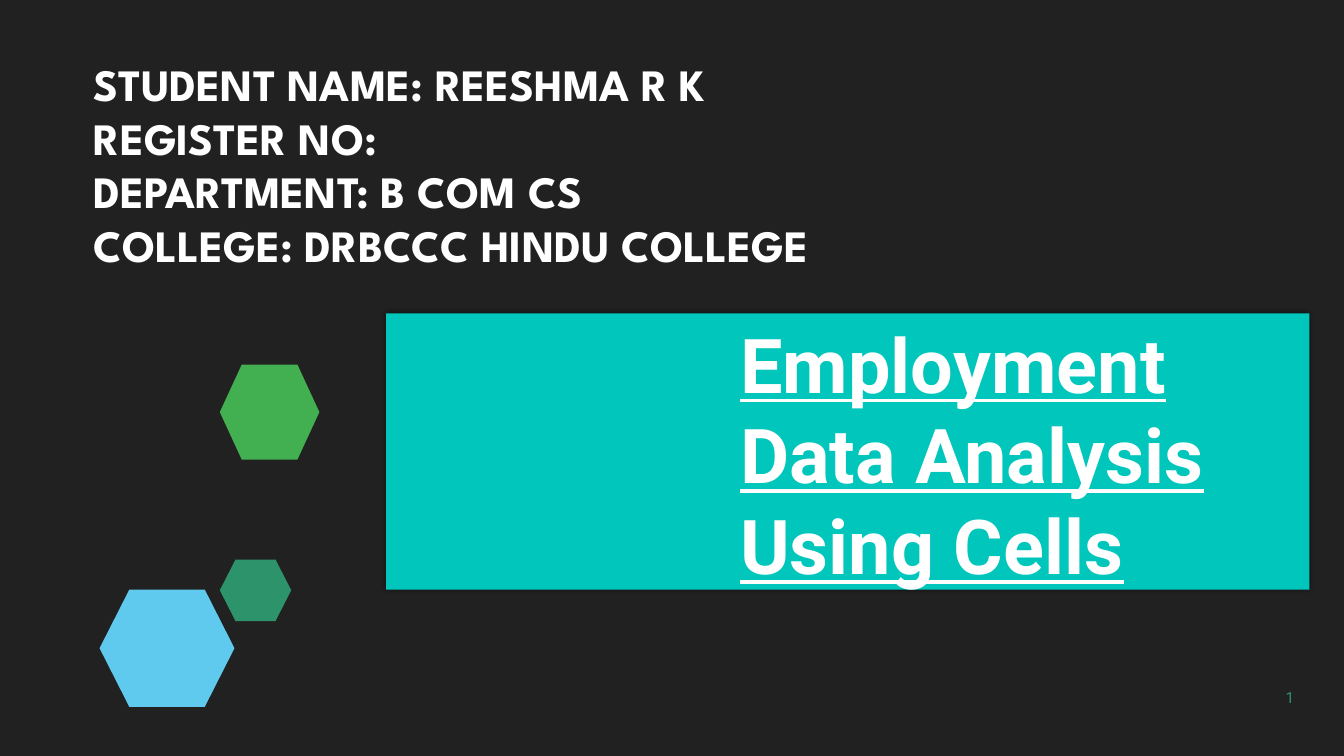
from lxml.etree import SubElement
from pptx import Presentation
from pptx.dml.color import RGBColor
from pptx.enum.shapes import MSO_SHAPE
from pptx.enum.text import MSO_ANCHOR, MSO_AUTO_SIZE, PP_ALIGN
from pptx.oxml.ns import qn
from pptx.util import Cm, Pt

HUES = {"dark": "212121", "sky": "5FCAEE", "moss": "2D936B",
        "green": "42AF51", "teal": "00C6BB", "white": "FFFFFF", "black": "000000"}
DETAILS = ["STUDENT NAME: REESHMA R K", "REGISTER NO:",
           "DEPARTMENT: B COM CS", "COLLEGE: DRBCCC HINDU COLLEGE"]
TITLE = ["Employment Data Analysis Using Cells"]
PAGE = ["1"]
HEXES = [("sky", 2.51, 14.86, 3.4, 2.95), ("moss", 5.54, 14.1, 1.8, 1.55),
         ("green", 5.54, 9.19, 2.51, 2.39)]
BOXES = {"title": (9.73, 7.9, 23.27, 6.96), "page": (29.67, 16.43, 2.95, 1.37),
         "info": (2.11, 1.3, 26.04, 7.09)}
FONTS = {"title": {"name": "Roboto", "size": Pt(54), "bold": True, "underline": True},
         "page": {"name": "Roboto", "size": Pt(11)},
         "info": {"name": "League Spartan", "size": Pt(32), "bold": True}}
TIGHT = {"margin_left": 0, "margin_right": 0, "margin_bottom": 0, "word_wrap": True,
         "vertical_anchor": MSO_ANCHOR.BOTTOM, "auto_size": MSO_AUTO_SIZE.SHAPE_TO_FIT_TEXT}
FRAMES = {"title": {**TIGHT, "margin_top": Cm(0.05)},
          "page": {**TIGHT, "margin_top": Cm(0.03)},
          "info": {"word_wrap": True, "vertical_anchor": MSO_ANCHOR.TOP}}
PARAS = {"title": {"alignment": PP_ALIGN.LEFT, "space_before": Pt(1.3)},
         "page": {"alignment": PP_ALIGN.RIGHT, "space_before": Pt(0.6)},
         "info": {"alignment": PP_ALIGN.LEFT}}
INDENTS = {"title": Cm(8.92), "page": Cm(0.1), "info": 0}
INSET = 0.22


def tint(fill, hue):
    """Make a fill solid in a named colour."""
    fill.solid()
    fill.fore_color.rgb = RGBColor.from_string(HUES[hue])


def style(item, values):
    """Set attributes from a dict of format values."""
    for key, value in values.items():
        setattr(item, key, value)


def write(shape, kind, lines, hue):
    """Fill a shape with formatted lines of text."""
    frame = shape.text_frame
    style(frame, FRAMES[kind])
    frame.text = "\n".join(lines)
    for para in frame.paragraphs:
        style(para, PARAS[kind])
        props = para._p.get_or_add_pPr()
        props.set("marL", str(int(INDENTS[kind])))
        props.set("indent", "0")
        for run in para.runs:
            style(run.font, FONTS[kind])
            tint(run.font.fill, hue)
            if kind != "info":
                run._r.get_or_add_rPr().set("spc", "10")


def hexagon(shapes, hue, left, top, wide, high):
    """Draw a flat-topped hexagon inside a box."""
    spots = [(1 - INSET, 0), (INSET, 0), (0, 0.5), (INSET, 1), (1 - INSET, 1), (1, 0.5)]
    points = [(Cm(left + x * wide), Cm(top + y * high)) for x, y in spots]
    pen = shapes.build_freeform(*points[0])
    pen.add_line_segments(points[1:], close=True)
    shape = pen.convert_to_shape()
    shape.shadow.inherit = False
    tint(shape.fill, hue)
    shape.line.fill.background()


def shade(shape):
    """Give a shape a soft dark shadow."""
    shape.shadow.inherit = False
    effects = shape._element.spPr.find(qn("a:effectLst"))
    outer = SubElement(effects, qn("a:outerShdw"), blurRad=str(Pt(4)), dist="0",
                       dir="14400000", rotWithShape="0")
    color = SubElement(outer, qn("a:srgbClr"), val=HUES["black"])
    SubElement(color, qn("a:alpha"), val="60000")


def main():
    """Build the title slide and save it."""
    deck = Presentation()
    style(deck, {"slide_width": Cm(33.87), "slide_height": Cm(19.05)})
    slide = deck.slides.add_slide(deck.slide_layouts[6])
    tint(slide.background.fill, "dark")
    shapes = slide.shapes
    for item in HEXES:
        hexagon(shapes, *item)
    places = {kind: [Cm(n) for n in box] for kind, box in BOXES.items()}
    banner = shapes.add_shape(MSO_SHAPE.RECTANGLE, *places["title"])
    tint(banner.fill, "teal")
    banner.line.fill.background()
    shade(banner)
    write(banner, "title", TITLE, "white")
    for kind, lines, hue in [("page", PAGE, "moss"), ("info", DETAILS, "white")]:
        write(shapes.add_textbox(*places[kind]), kind, lines, hue)
    deck.save("out.pptx")


if __name__ == "__main__":
    main()
